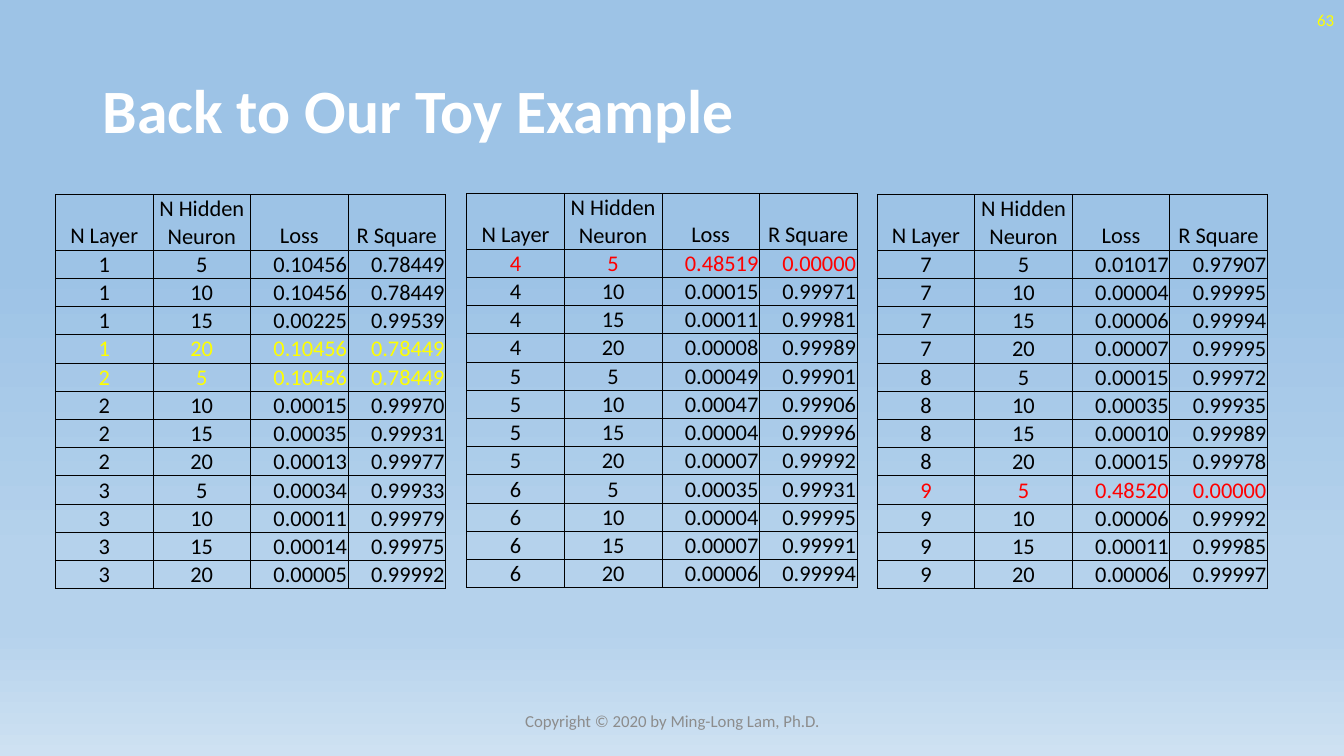
import itertools

import pptx
import pptx.dml.color
import pptx.enum.text
import pptx.oxml
import pptx.oxml.ns
import pptx.util
from pptx.util import Inches

ALIGN = pptx.enum.text.PP_ALIGN
ANCHOR = pptx.enum.text.MSO_ANCHOR
BLACK, WHITE, YELLOW, RED, GREY = "000000", "FFFFFF", "FFFF00", "FF0000", "8C8C8C"

BACKGROUND_STOPS = [(35, "9DC3E6"), (74, "B5D2EC"), (83, "B5D2EC"), (100, "CEE1F2")]
HEADINGS = ["N Layer", "N Hidden Neuron", "Loss", "R Square"]
COLUMN_ALIGNMENTS = [ALIGN.CENTER, ALIGN.CENTER, ALIGN.RIGHT, ALIGN.RIGHT]
NEURON_COUNTS = [5, 10, 15, 20]
LAYERS_PER_TABLE = 3
HIGHLIGHTS = {(1, 20): YELLOW, (2, 5): YELLOW, (4, 5): RED, (9, 5): RED}

# (loss, R square) for each layer count and, within it, each neuron count
FITS = [
    (0.10456, 0.78449), (0.10456, 0.78449), (0.00225, 0.99539), (0.10456, 0.78449),
    (0.10456, 0.78449), (0.00015, 0.99970), (0.00035, 0.99931), (0.00013, 0.99977),
    (0.00034, 0.99933), (0.00011, 0.99979), (0.00014, 0.99975), (0.00005, 0.99992),
    (0.48519, 0.00000), (0.00015, 0.99971), (0.00011, 0.99981), (0.00008, 0.99989),
    (0.00049, 0.99901), (0.00047, 0.99906), (0.00004, 0.99996), (0.00007, 0.99992),
    (0.00035, 0.99931), (0.00004, 0.99995), (0.00007, 0.99991), (0.00006, 0.99994),
    (0.01017, 0.97907), (0.00004, 0.99995), (0.00006, 0.99994), (0.00007, 0.99995),
    (0.00015, 0.99972), (0.00035, 0.99935), (0.00010, 0.99989), (0.00015, 0.99978),
    (0.48520, 0.00000), (0.00006, 0.99992), (0.00011, 0.99985), (0.00006, 0.99997),
]


def rgb(hex_colour):
    return pptx.dml.color.RGBColor.from_string(hex_colour)


def apply(target, values):
    for name, value in values.items():
        setattr(target, name, value)


def write(frame, text, size, colour, alignment, bold=False):
    frame.text = text
    paragraph = frame.paragraphs[0]
    paragraph.alignment = alignment
    apply(paragraph.font, {"name": "Calibri", "size": pptx.util.Pt(size), "bold": bold})
    paragraph.font.color.rgb = rgb(colour)
    return paragraph


def paint_background(slide):
    fill = slide.background.fill
    fill.gradient()
    fill.gradient_angle = 270
    stops = slide.element.find(".//" + pptx.oxml.ns.qn("a:gsLst"))
    stops.clear()
    for percent, colour in BACKGROUND_STOPS:
        stops.append(pptx.oxml.parse_xml(
            f'<a:gs {pptx.oxml.ns.nsdecls("a")} pos="{percent * 1000}">'
            f'<a:srgbClr val="{colour}"/></a:gs>'))


def place_title(slide, left, top, width, height):
    title = slide.shapes.title
    apply(title, {"left": Inches(left), "top": Inches(top),
                  "width": Inches(width), "height": Inches(height)})
    title.text_frame.vertical_anchor = ANCHOR.MIDDLE
    heading = write(title.text_frame, "Back to Our Toy Example", 44, WHITE, ALIGN.LEFT, bold=True)
    heading.line_spacing = 0.9


def add_label(slide, text, colour, alignment, left, top, width, height):
    label = slide.shapes.add_textbox(Inches(left), Inches(top), Inches(width), Inches(height))
    apply(label.text_frame, {"word_wrap": True, "vertical_anchor": ANCHOR.MIDDLE})
    write(label.text_frame, text, 12, colour, alignment)


def add_borders(cell):
    properties = cell._tc.get_or_add_tcPr()
    for side in ("lnL", "lnR", "lnT", "lnB"):
        properties.append(pptx.oxml.parse_xml(
            f'<a:{side} {pptx.oxml.ns.nsdecls("a")} w="{pptx.util.Pt(0.5)}">'
            f'<a:solidFill><a:srgbClr val="{BLACK}"/></a:solidFill></a:{side}>'))


def format_cell(cell, text, colour, alignment):
    inset = Inches(0.01)
    apply(cell, {"margin_left": inset, "margin_right": inset, "margin_top": inset,
                 "margin_bottom": 0, "vertical_anchor": ANCHOR.BOTTOM})
    add_borders(cell)
    cell.fill.background()
    write(cell.text_frame, text, 16, colour, alignment)


def add_fit_table(slide, fits, left, top, width, header_height, row_height):
    """Add one table; fits holds rows of layer count, neuron count, loss and R square."""
    height = header_height + row_height * len(fits)
    table = slide.shapes.add_table(len(fits) + 1, len(HEADINGS), Inches(left), Inches(top),
                                   Inches(width), Inches(height)).table
    apply(table, {"first_row": False, "horz_banding": False})
    for row in table.rows:
        row.height = Inches(row_height)
    table.rows[0].height = Inches(header_height)

    for column, heading in enumerate(HEADINGS):
        format_cell(table.cell(0, column), heading, BLACK, ALIGN.CENTER)
    for row, (layers, neurons, loss, r_square) in enumerate(fits, start=1):
        colour = HIGHLIGHTS.get((layers, neurons), BLACK)
        texts = [str(layers), str(neurons), f"{loss:.5f}", f"{r_square:.5f}"]
        for column, (text, alignment) in enumerate(zip(texts, COLUMN_ALIGNMENTS)):
            format_cell(table.cell(row, column), text, colour, alignment)


def main():
    deck = pptx.Presentation()
    apply(deck, {"slide_width": Inches(13.33), "slide_height": Inches(7.5)})
    slide = deck.slides.add_slide(deck.slide_layouts[5])

    paint_background(slide)
    place_title(slide, 0.92, 0.4, 11.5, 1.45)
    add_label(slide, "63", YELLOW, ALIGN.RIGHT, 10.33, 0, 3, 0.4)

    settings = itertools.product(range(1, 10), NEURON_COUNTS)
    fits = [setting + fit for setting, fit in zip(settings, FITS)]
    rows_per_table = LAYERS_PER_TABLE * len(NEURON_COUNTS)
    for index, (left, top) in enumerate([(0.55, 1.93), (4.63, 1.92), (8.7, 1.93)]):
        first = index * rows_per_table
        add_fit_table(slide, fits[first:first + rows_per_table], left, top, 3.87, 0.55, 0.28)

    add_label(slide, "Copyright © 2020 by Ming-Long Lam, Ph.D.", GREY, ALIGN.CENTER,
              4.42, 6.95, 4.5, 0.4)
    deck.save("out.pptx")


if __name__ == "__main__":
    main()
